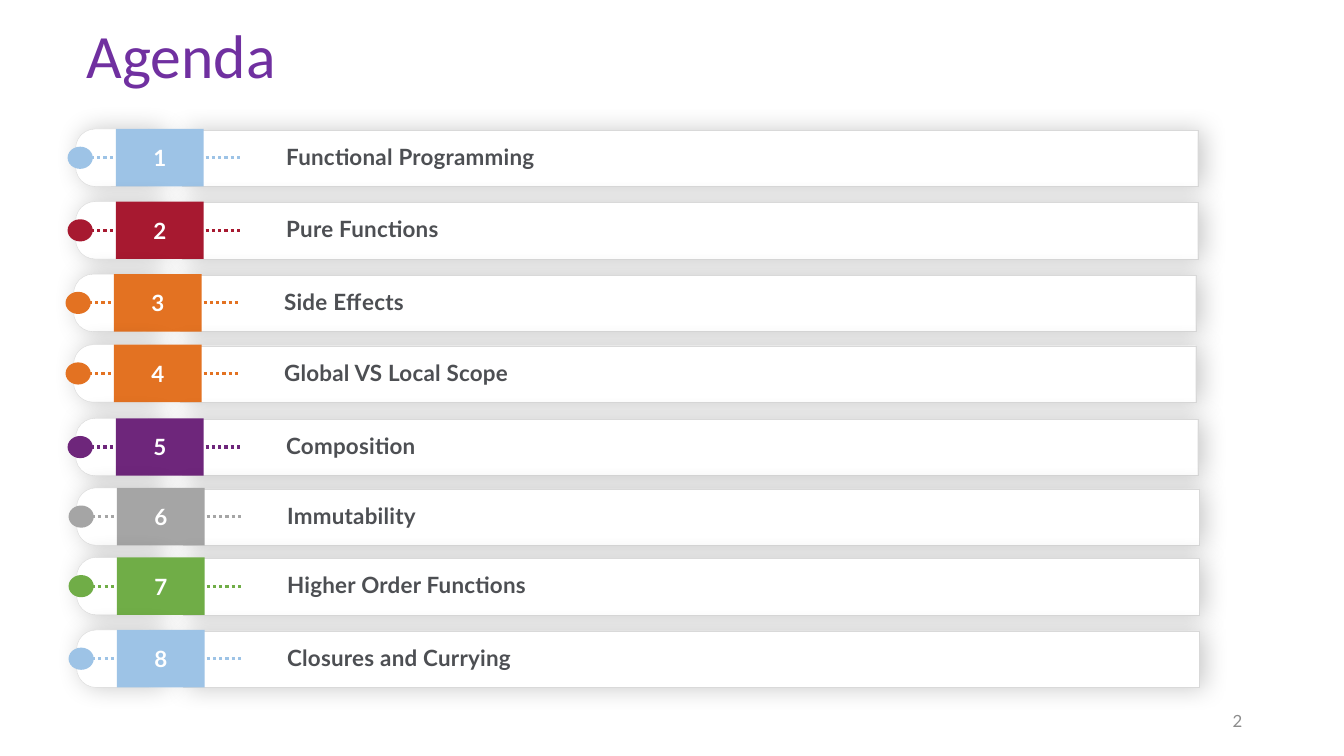
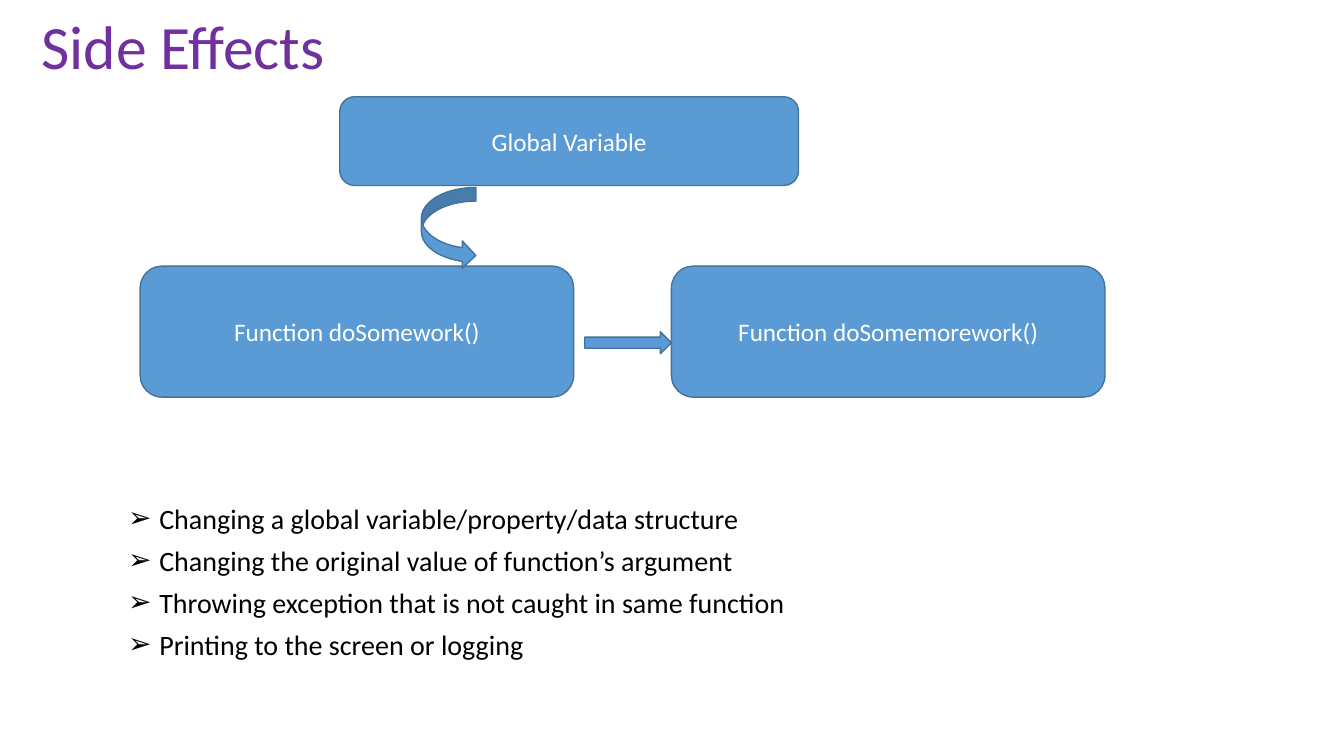
from lxml.etree import SubElement
from pptx import Presentation
from pptx.dml.color import RGBColor
from pptx.enum.dml import MSO_LINE
from pptx.enum.shapes import MSO_CONNECTOR, MSO_SHAPE
from pptx.enum.text import MSO_ANCHOR, PP_ALIGN
from pptx.oxml.ns import qn
from pptx.util import Inches, Pt

COLORS = {
    "title": "7030A0", "label": "4D4F53", "page": "8C8C8C", "border": "D9D9D9",
    "white": "FFFFFF", "black": "000000", "box": "5B9BD5", "box_edge": "43739E",
    "sky": "9DC3E6", "red": "A71930", "orange": "E37222", "purple": "6E267B",
    "gray": "A5A5A5", "green": "70AD47",
}
FONTS = {
    "title": {"name": "Calibri", "size": Pt(44), "color": "title"},
    "page": {"name": "Lato", "size": Pt(12), "color": "page"},
    "number": {"name": "Lato", "size": Pt(16), "bold": True, "color": "white"},
    "label": {"name": "Lato", "size": Pt(16), "bold": True, "color": "label"},
    "box": {"name": "Calibri", "size": Pt(18), "color": "white"},
    "list": {"name": "Calibri", "size": Pt(20), "color": "black"},
}

# topic, color, left, top
AGENDA = [
    ("Functional Programming", "sky", 0.75, 1.28),
    ("Pure Functions", "red", 0.75, 2.0),
    ("Side Effects", "orange", 0.73, 2.72),
    ("Global VS Local Scope", "orange", 0.73, 3.42),
    ("Composition", "purple", 0.75, 4.15),
    ("Immutability", "gray", 0.76, 4.84),
    ("Higher Order Functions", "green", 0.76, 5.53),
    ("Closures and Currying", "sky", 0.76, 6.25),
]
ROW_HEIGHT = 0.57

DIAGRAM = [
    (MSO_SHAPE.ROUNDED_RECTANGLE, (3.37, 0.96, 4.55, 0.88), "Global Variable"),
    (MSO_SHAPE.ROUNDED_RECTANGLE, (1.39, 2.64, 4.3, 1.3), "Function doSomework()"),
    (MSO_SHAPE.ROUNDED_RECTANGLE, (6.66, 2.64, 4.3, 1.3), "Function doSomemorework()"),
    (MSO_SHAPE.CURVED_RIGHT_ARROW, (4.18, 1.86, 0.54, 0.81), ""),
    (MSO_SHAPE.RIGHT_ARROW, (5.8, 3.29, 0.86, 0.22), ""),
]
EFFECTS = [
    "Changing a global variable/property/data structure",
    "Changing the original value of function’s argument",
    "Throwing exception that is not caught in same function",
    "Printing to the screen or logging",
]


def rgb(color):
    return RGBColor.from_string(COLORS[color])


def inches(values):
    return [Inches(value) for value in values]


def place(shape, box):
    for side, value in zip(("left", "top", "width", "height"), inches(box)):
        setattr(shape, side, value)


def write(paragraph, text, style, align=PP_ALIGN.LEFT):
    run = paragraph.add_run()
    run.text = text
    for attribute, value in FONTS[style].items():
        if attribute == "color":
            run.font.color.rgb = rgb(value)
        else:
            setattr(run.font, attribute, value)
    paragraph.alignment = align
    return run


def add_title(slide, text, box):
    title = slide.shapes.title
    place(title, box)
    title.text_frame.vertical_anchor = MSO_ANCHOR.MIDDLE
    paragraph = title.text_frame.paragraphs[0]
    paragraph.line_spacing = 0.9
    write(paragraph, text, "title")


def add_block(shapes, kind, box, fill, edge=None, edge_width=0.25):
    block = shapes.add_shape(kind, *inches(box))
    block.shadow.inherit = False
    block.fill.solid()
    block.fill.fore_color.rgb = rgb(fill)
    if edge:
        block.line.color.rgb = rgb(edge)
        block.line.width = Pt(edge_width)
    else:
        block.line.fill.background()
    return block


def add_soft_shadow(shape):
    effects = shape.element.spPr.find(qn("a:effectLst"))
    shadow = SubElement(effects, qn("a:outerShdw"), blurRad=str(Pt(18)),
                        dist=str(Pt(3)), dir="0", algn="ctr", rotWithShape="0")
    color = SubElement(shadow, qn("a:srgbClr"), val=COLORS["black"])
    SubElement(color, qn("a:alpha"), val="22000")


def add_dots(shapes, left, middle, color):
    dots = shapes.add_connector(
        MSO_CONNECTOR.STRAIGHT, *inches((left, middle, left + 0.37, middle)))
    dots.line.color.rgb = rgb(color)
    dots.line.width = Pt(2.25)
    dots.line.dash_style = MSO_LINE.ROUND_DOT
    SubElement(dots.element.spPr, qn("a:effectLst"))


def add_agenda_row(slide, number, topic, color, left, top):
    shapes = slide.shapes.add_group_shape().shapes
    middle = top + ROW_HEIGHT / 2

    cap = add_block(shapes, MSO_SHAPE.ROUNDED_RECTANGLE,
                    (left, top, 0.91, ROW_HEIGHT), "white", "border")
    cap.adjustments[0] = 0.34
    bar = add_block(shapes, MSO_SHAPE.RECTANGLE,
                    (left + 1.06, top + 0.01, 10.07, 0.56), "white", "border")
    for panel in (cap, bar):
        add_soft_shadow(panel)

    for offset in (1.29, 0.09):
        add_dots(shapes, left + offset, middle, color)
    add_block(shapes, MSO_SHAPE.OVAL, (left - 0.08, middle - 0.11, 0.25, 0.22), color)

    tile = add_block(shapes, MSO_SHAPE.RECTANGLE,
                     (left + 0.4, top, 0.87, ROW_HEIGHT), color)
    tile.text_frame.vertical_anchor = MSO_ANCHOR.MIDDLE
    write(tile.text_frame.paragraphs[0], str(number), "number", PP_ALIGN.CENTER)

    label = shapes.add_textbox(*inches((left + 1.99, top + 0.09, 2.9, 0.37)))
    label.text_frame.word_wrap = False
    run = write(label.text_frame.paragraphs[0], topic, "label")
    run.font._element.set("spc", "20")


def build_agenda(prs):
    slide = prs.slides.add_slide(prs.slide_layouts[5])
    add_title(slide, "Agenda", (0.76, -0.14, 11.5, 1.45))
    page = slide.shapes.add_textbox(*inches((9.42, 6.95, 3, 0.4)))
    page.text_frame.word_wrap = True
    page.text_frame.vertical_anchor = MSO_ANCHOR.MIDDLE
    write(page.text_frame.paragraphs[0], "2", "page", PP_ALIGN.RIGHT)
    for number, row in enumerate(AGENDA, 1):
        add_agenda_row(slide, number, *row)


def add_arrow_list(body, items):
    frame = body.text_frame
    frame.vertical_anchor = MSO_ANCHOR.TOP
    for index, item in enumerate(items):
        paragraph = frame.add_paragraph() if index else frame.paragraphs[0]
        write(paragraph, item, "list")
        paragraph.space_before = Pt(0)
        paragraph.space_after = Pt(6)
        properties = paragraph._p.get_or_add_pPr()
        properties.set("marL", str(Inches(0.31)))
        properties.set("indent", str(Inches(-0.31)))
        SubElement(properties, qn("a:buChar"), char="➢")


def build_side_effects(prs):
    slide = prs.slides.add_slide(prs.slide_layouts[1])
    add_title(slide, "Side Effects", (0.31, -0.23, 11.5, 1.45))
    body = slide.placeholders[1]
    place(body, (1.17, 4.92, 6.74, 2.12))
    add_arrow_list(body, EFFECTS)

    shapes = slide.shapes.add_group_shape().shapes
    for kind, box, text in DIAGRAM:
        block = add_block(shapes, kind, box, "box", "box_edge", 1)
        if text:
            block.text_frame.vertical_anchor = MSO_ANCHOR.MIDDLE
            write(block.text_frame.paragraphs[0], text, "box", PP_ALIGN.CENTER)


def main():
    prs = Presentation()
    prs.slide_width, prs.slide_height = inches((13.33, 7.5))
    build_agenda(prs)
    build_side_effects(prs)
    prs.save("out.pptx")


if __name__ == "__main__":
    main()
